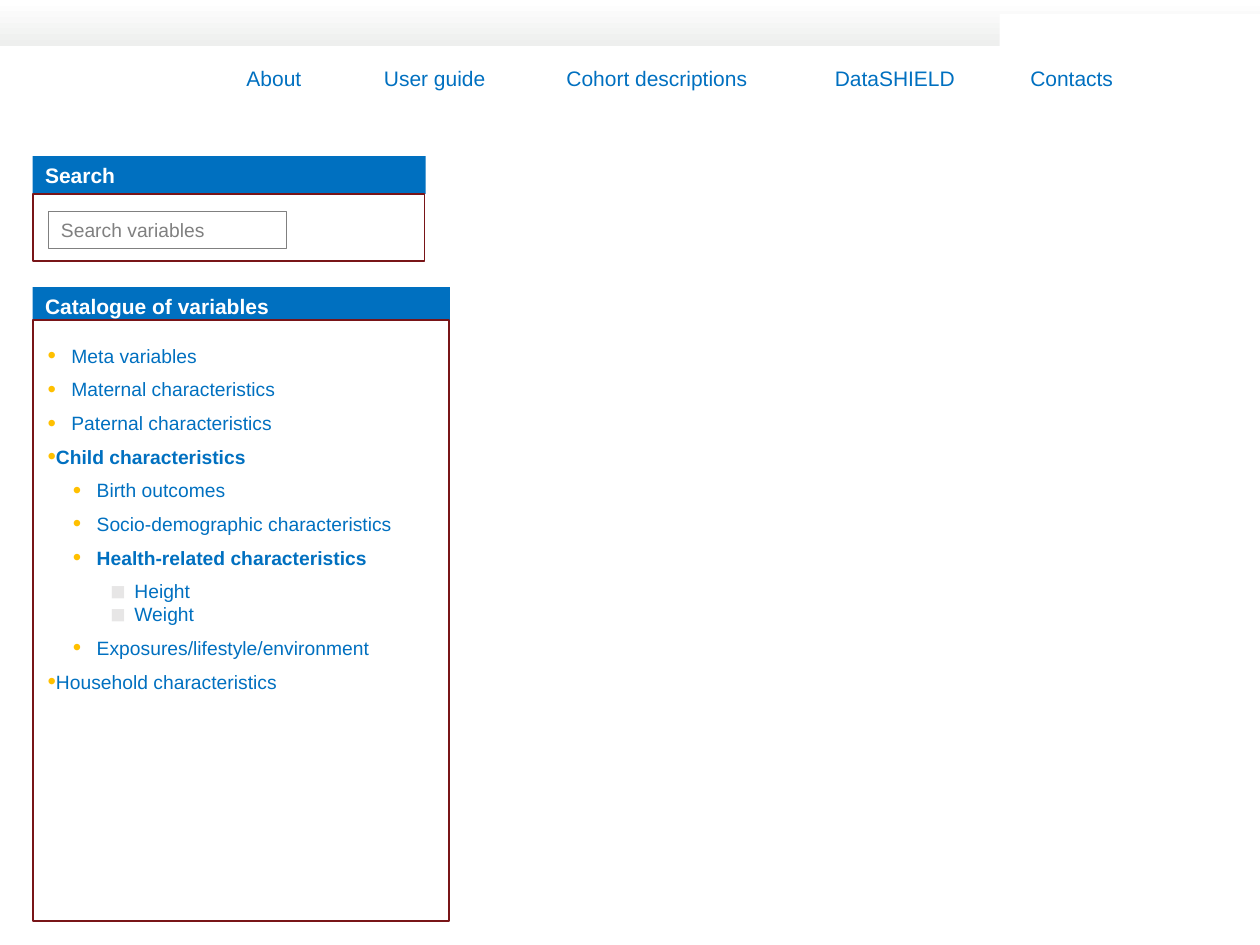
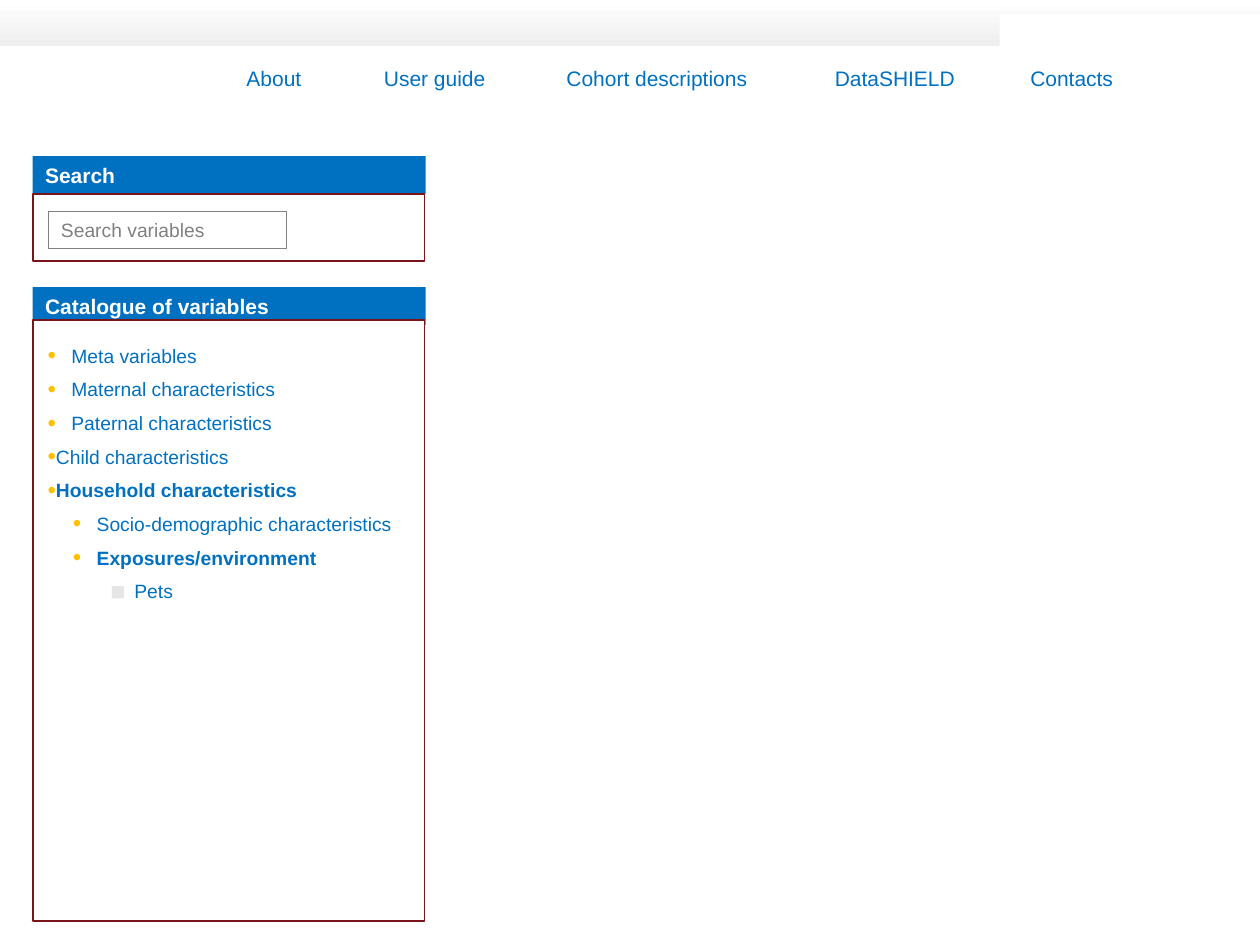
from lxml.etree import SubElement
from pptx import Presentation
from pptx.dml.color import RGBColor
from pptx.enum.shapes import MSO_SHAPE as Shape
from pptx.enum.text import MSO_ANCHOR as Anchor, PP_ALIGN as Align
from pptx.oxml.ns import qn
from pptx.util import Cm, Pt

# Content: each catalogue entry is (kind, text, is it open)
MENU = ["About", "User guide", "Cohort descriptions", "DataSHIELD", "Contacts"]
MENU_TABS = [2.77, 6.45, 11.86, 15.8]
COMMON_ENTRIES = [
    ("topic", "Meta variables", False),
    ("topic", "Maternal characteristics", False),
    ("topic", "Paternal characteristics", False),
]
PAGES = [
    {"width": 8.41, "entries": [
        ("branch", "Child characteristics", True),
        ("group", "Birth outcomes", False),
        ("group", "Socio-demographic characteristics", False),
        ("group", "Health-related characteristics", True),
        ("variable", "Height", False),
        ("variable", "Weight", False),
        ("group", "Exposures/lifestyle/environment", False),
        ("branch", "Household characteristics", False),
    ]},
    {"width": 7.92, "entries": [
        ("branch", "Child characteristics", False),
        ("branch", "Household characteristics", True),
        ("group", "Socio-demographic characteristics", False),
        ("group", "Exposures/environment", True),
        ("variable", "Pets", False),
    ]},
]

# Look
BLUE, WHITE, BAND_GREY = "0070C0", "FFFFFF", "EEEFEE"
MAROON, FIELD_GREY = "791518", "808080"
MENU_STYLE = {"size": Pt(12), "color": BLUE}
HEADER_STYLE = {"size": Pt(12), "color": WHITE, "bold": True}
FIELD_STYLE = {"size": Pt(11), "color": FIELD_GREY}
ENTRY_STYLE = {"size": Pt(11), "color": BLUE}
HANGING = 0.48
# Kind: level, left margin in cm, bullet, bullet colour
KINDS = {
    "topic": (0, 0.48, "•", "FFC000"),
    "branch": (1, 0, "•", "FFC000"),
    "group": (1, 0.99, "•", "FFC000"),
    "variable": (1, 1.75, "◼", "E7E6E6"),
}
PANEL_LEFT, HEADER_HEIGHT = 0.66, 0.76
SEARCH_WIDTH = 7.92


def rgb(code):
    return RGBColor.from_string(code)


def write(para, text, style):
    span = para.add_run()
    span.text = text
    for name, value in {"name": "Arial", **style}.items():
        if name == "color":
            span.font.color.rgb = rgb(value)
        else:
            setattr(span.font, name, value)


def add_box(shapes, place, fill=None, line=None, weight=1):
    box = shapes.add_shape(Shape.RECTANGLE, *map(Cm, place))
    box.shadow.inherit = False
    if fill:
        box.fill.solid()
        box.fill.fore_color.rgb = rgb(fill)
    else:
        box.fill.background()
    if line:
        box.line.color.rgb = rgb(line)
        box.line.width = Pt(weight)
    else:
        box.line.fill.background()
    return box


def label(box, text, style):
    frame = box.text_frame
    frame.vertical_anchor = Anchor.MIDDLE
    para = frame.paragraphs[0]
    para.alignment = Align.LEFT
    write(para, text, style)


def add_text_frame(shapes, place):
    box = shapes.add_textbox(*map(Cm, place))
    box.text_frame.word_wrap = True
    return box


def add_panel(shapes, title, top, body_top, width, body_height):
    header = add_box(shapes, (PANEL_LEFT, top, width, HEADER_HEIGHT), fill=BLUE)
    label(header, title, HEADER_STYLE)
    add_box(shapes, (PANEL_LEFT, body_top, width - 0.02, body_height), WHITE, MAROON)


def add_bullet(para, kind):
    level, margin, symbol, color = KINDS[kind]
    para.level = level
    props = para._p.get_or_add_pPr()
    props.set("marL", str(Cm(margin)))
    props.set("indent", str(-Cm(HANGING)))
    tint = SubElement(props, qn("a:buClr"))
    SubElement(tint, qn("a:srgbClr"), val=color)
    SubElement(props, qn("a:buSzPct"), val="125000")
    SubElement(props, qn("a:buFont"), typeface="Arial")
    SubElement(props, qn("a:buChar"), char=symbol)


def build_layout(layout, page):
    """Draw the band and menu once and hand them to the layout."""
    for holder in list(layout.placeholders):
        layout.shapes.element.remove(holder.element)

    # Top band with a cut-out at the right
    band = add_box(page.shapes, (0, 0, 25.4, 0.92))
    band.fill.gradient()
    band.fill.gradient_angle = 270
    for stop, color, position in zip(band.fill.gradient_stops, (WHITE, BAND_GREY), (0, 1)):
        stop.color.rgb = rgb(color)
        stop.position = position
    cutout = add_box(page.shapes, (20.15, 0.28, 5.25, 1.63), fill=WHITE)

    # Menu line, one tab stop per entry
    menu = add_text_frame(page.shapes, (4.72, 1.19, 19.28, 0.76))
    para = menu.text_frame.paragraphs[0]
    stops = SubElement(para._p.get_or_add_pPr(), qn("a:tabLst"))
    for position in MENU_TABS:
        SubElement(stops, qn("a:tab"), pos=str(Cm(position)), algn="l")
    write(para, "\t".join(MENU), MENU_STYLE)

    for part in (band, cutout, menu):
        layout.shapes.element.append(part.element)


def add_search(page):
    shapes = page.shapes.add_group_shape().shapes
    add_panel(shapes, "Search", 3.15, 3.91, SEARCH_WIDTH, 1.35)
    field = add_box(shapes, (0.98, 4.27, 4.8, 0.74), None, FIELD_GREY, 0.75)
    label(field, "Search variables", FIELD_STYLE)


def add_catalogue(page, width, entries):
    shapes = page.shapes.add_group_shape().shapes
    add_panel(shapes, "Catalogue of variables", 5.79, 6.45, width, 12.12)
    listing = add_text_frame(shapes, (0.71, 6.81, width - 0.2, 11.7))
    frame = listing.text_frame
    following = [kind for kind, _, _ in entries[1:]] + [None]
    for index, ((kind, text, is_open), next_kind) in enumerate(zip(entries, following)):
        para = frame.add_paragraph() if index else frame.paragraphs[0]
        add_bullet(para, kind)
        # Variables of one group stand close together
        para.space_after = Pt(0 if kind == next_kind == "variable" else 6)
        write(para, text, {**ENTRY_STYLE, "bold": is_open})


def main():
    deck = Presentation()
    deck.slide_width, deck.slide_height = Cm(25.4), Cm(19.05)
    layout = deck.slide_layouts[6]
    for number, content in enumerate(PAGES):
        page = deck.slides.add_slide(layout)
        if number == 0:
            build_layout(layout, page)
        add_search(page)
        add_catalogue(page, content["width"], COMMON_ENTRIES + content["entries"])
    deck.save("out.pptx")


if __name__ == "__main__":
    main()
